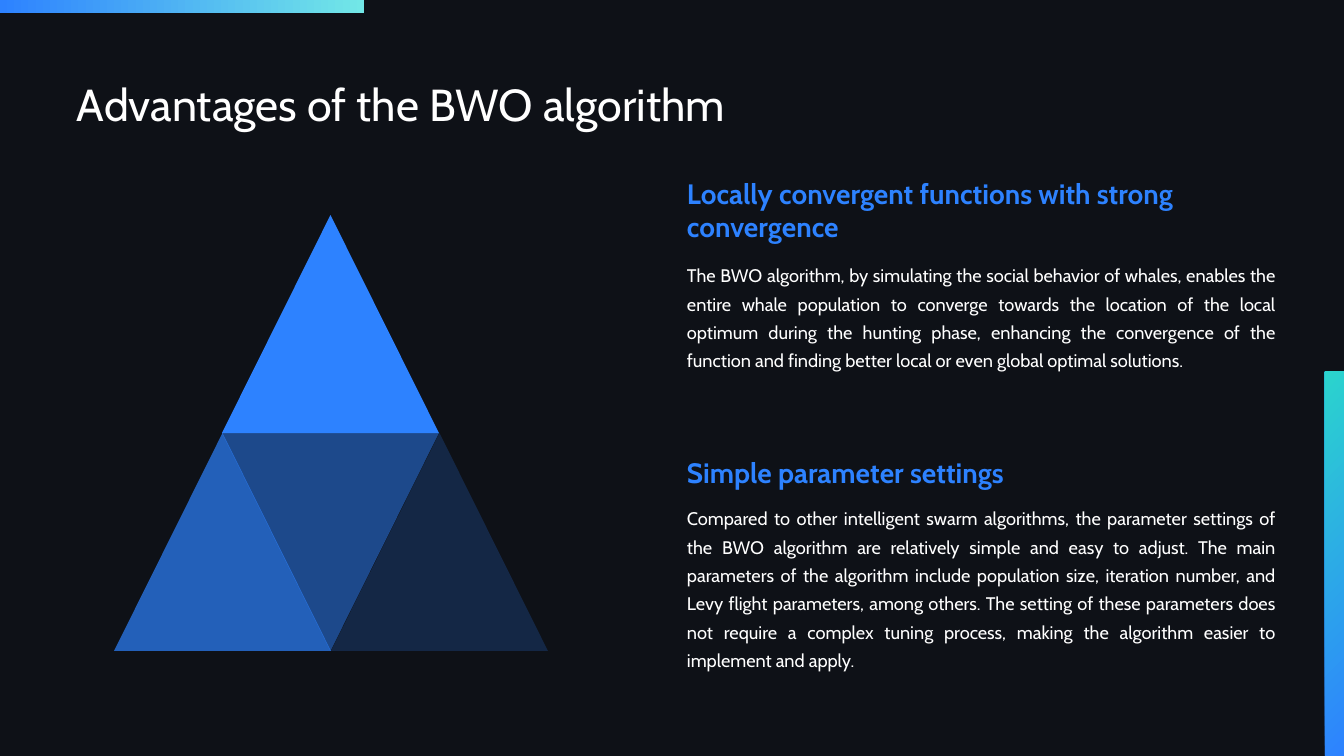
from dataclasses import dataclass

from lxml import etree
from pptx import Presentation
from pptx.dml.color import RGBColor as RGB
from pptx.enum.shapes import MSO_SHAPE as SHAPE
from pptx.enum.text import MSO_ANCHOR as ANCHOR, PP_ALIGN as ALIGN
from pptx.oxml.ns import qn
from pptx.util import Pt

EMU_PER_PX = 914400 / 100.8


@dataclass(frozen=True)
class Theme:
    font: str = "Cabin"
    background: str = "0E1117"
    text: str = "FFFFFF"
    accent: str = "2D82FF"
    aqua: str = "72E7E7"
    teal: str = "2BD4CD"
    title_size: int = 32
    heading_size: int = 20
    body_size: int = 13


THEME = Theme()

# Heading top, body top, heading, body
ADVANTAGES = [
    (190, 258, "Locally convergent functions with strong convergence",
     "The BWO algorithm, by simulating the social behavior of whales, enables "
     "the entire whale population to converge towards the location of the "
     "local optimum during the hunting phase, enhancing the convergence of "
     "the function and finding better local or even global optimal solutions."),
    (452, 501, "Simple parameter settings",
     "Compared to other intelligent swarm algorithms, the parameter settings "
     "of the BWO algorithm are relatively simple and easy to adjust. The main "
     "parameters of the algorithm include population size, iteration number, "
     "and Levy flight parameters, among others. The setting of these "
     "parameters does not require a complex tuning process, making the "
     "algorithm easier to implement and apply."),
]


def px(*lengths):
    return [round(n * EMU_PER_PX) for n in lengths]


def add_plain_shape(slide, kind, box):
    sp = slide.shapes.add_shape(kind, *px(*box))
    sp.shadow.inherit = False
    sp.line.fill.background()
    return sp


def add_gradient_bar(slide, box, start, end, angle):
    sp = add_plain_shape(slide, SHAPE.RECTANGLE, box)
    sp.fill.gradient()
    sp.fill.gradient_angle = angle
    for stop, color in zip(sp.fill.gradient_stops, (start, end)):
        stop.color.rgb = RGB.from_string(color)


def add_triangle(slide, box, opacity, flipped=False):
    sp = add_plain_shape(slide, SHAPE.ISOSCELES_TRIANGLE, box)
    sp.fill.solid()
    sp.fill.fore_color.rgb = RGB.from_string(THEME.accent)
    if opacity < 100:
        color = sp._element.spPr.find(qn("a:solidFill"))[0]
        etree.SubElement(color, qn("a:alpha"), val=str(opacity * 1000))
    if flipped:
        sp._element.spPr.find(qn("a:xfrm")).set("flipV", "1")


def set_text(sp, text, size, color, bold=False, anchor=ANCHOR.TOP,
             align=ALIGN.LEFT, spacing=1.0):
    tf = sp.text_frame
    tf.word_wrap = True
    tf.vertical_anchor = anchor
    tf.margin_left = tf.margin_top = tf.margin_right = tf.margin_bottom = 0
    tf.text = text
    p = tf.paragraphs[0]
    p.alignment = align
    p.line_spacing = spacing
    font = p.runs[0].font
    font.name, font.size, font.bold = THEME.font, Pt(size), bold
    font.color.rgb = RGB.from_string(color)


def add_title(slide, text):
    title = slide.shapes.title
    title.left, title.top, title.width, title.height = px(77, 43, 1190, 88)
    set_text(title, text, THEME.title_size, THEME.text,
             anchor=ANCHOR.BOTTOM, spacing=0.9)


def add_pyramid(slide):
    left, top, width, height = 114, 215, 217, 218
    middle, base = left + width // 2, top + height
    add_triangle(slide, (middle, top, width, height), 100)
    add_triangle(slide, (middle, base, width, height), 50, flipped=True)
    add_triangle(slide, (left, base, width, height), 70)
    add_triangle(slide, (left + width, base, width, height), 20)


def add_advantage(slide, heading_top, body_top, heading, body):
    left, width = 687, 588
    sp = slide.shapes.add_textbox(*px(left, heading_top, width, 40))
    set_text(sp, heading, THEME.heading_size, THEME.accent, bold=True,
             anchor=ANCHOR.MIDDLE)
    sp = slide.shapes.add_textbox(*px(left, body_top, width, 203))
    set_text(sp, body, THEME.body_size, THEME.text,
             align=ALIGN.JUSTIFY, spacing=1.3)


def main():
    prs = Presentation()
    prs.slide_width, prs.slide_height = px(1344, 756)
    slide = prs.slides.add_slide(prs.slide_layouts[5])

    # Background and edge bars
    slide.background.fill.solid()
    slide.background.fill.fore_color.rgb = RGB.from_string(THEME.background)
    add_gradient_bar(slide, (0, 0, 364, 13), THEME.accent, THEME.aqua, 0)
    add_gradient_bar(slide, (1325, 372, 19, 384), THEME.accent, THEME.teal, 135)

    # Title, pyramid and the two advantages
    add_title(slide, "Advantages of the BWO algorithm")
    add_pyramid(slide)
    for advantage in ADVANTAGES:
        add_advantage(slide, *advantage)

    prs.save("out.pptx")


if __name__ == "__main__":
    main()
